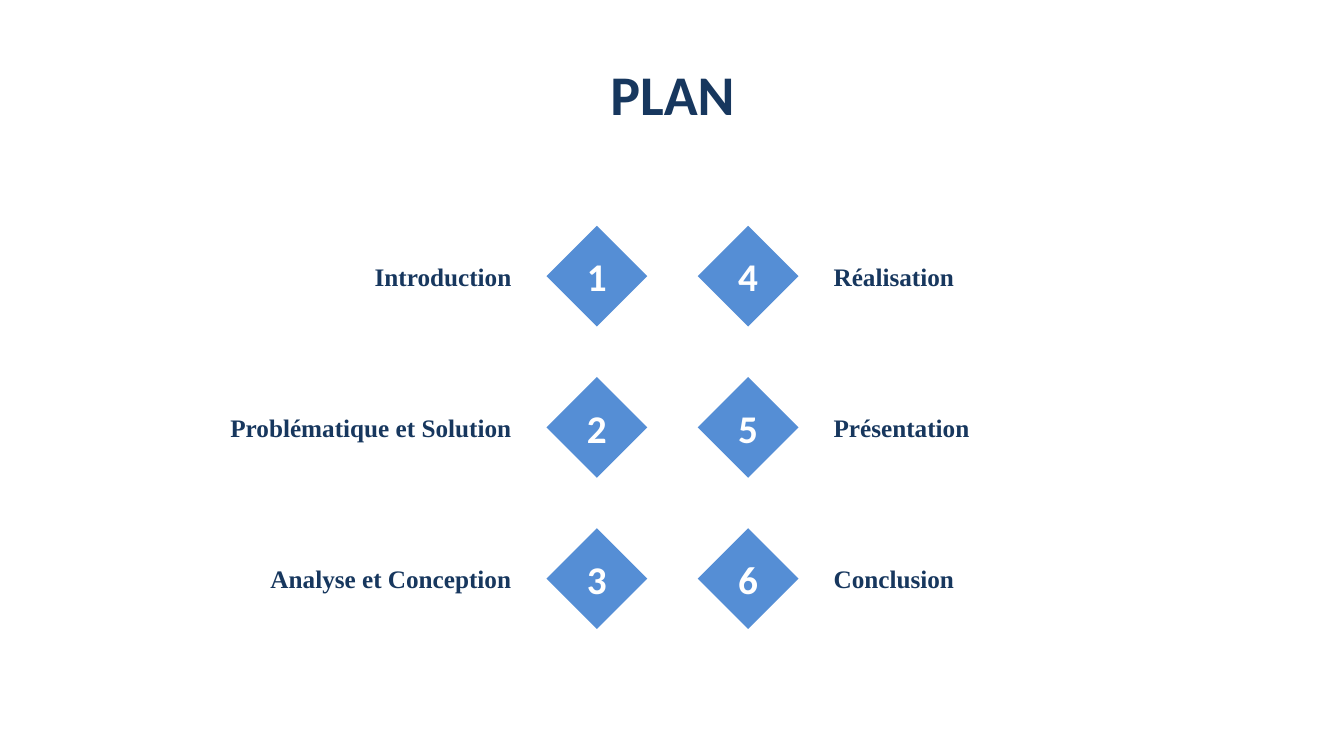
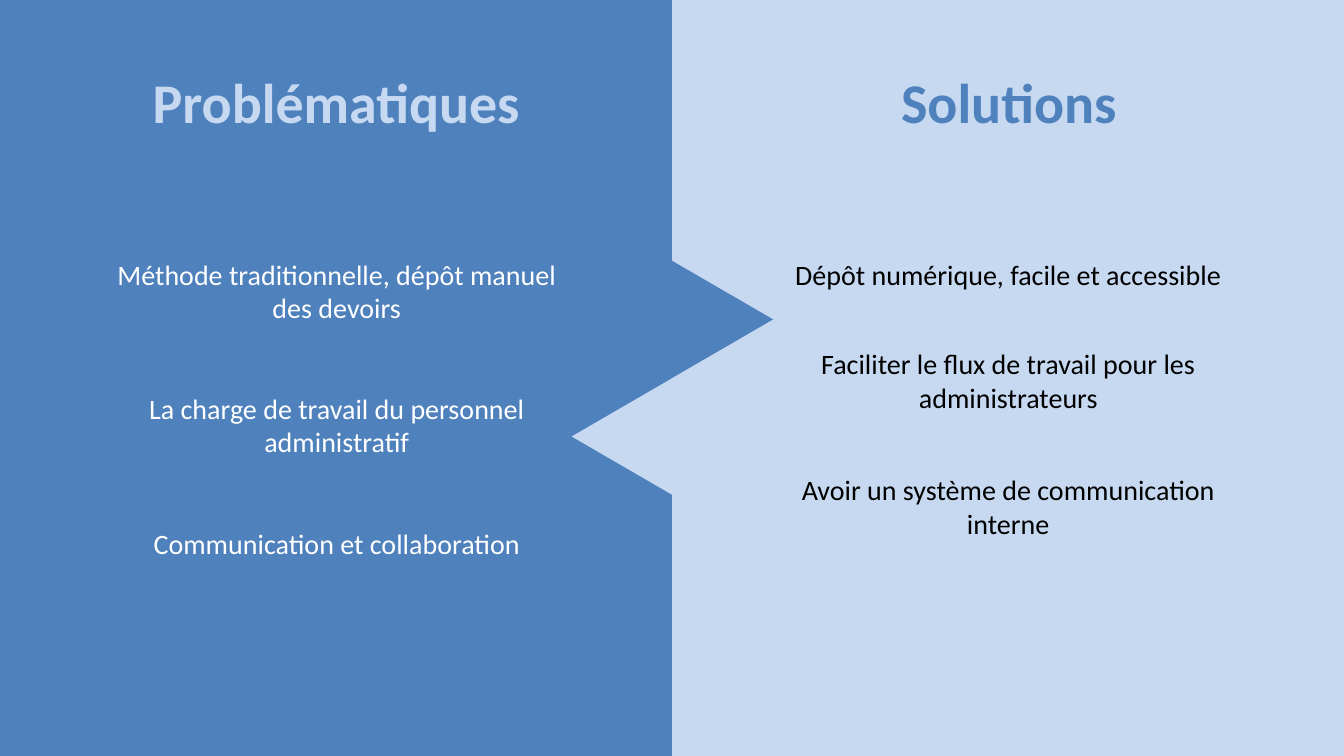
"""Build a plan slide and a problems-and-solutions slide."""
import dataclasses

import pptx
import pptx.dml.color
import pptx.enum.shapes
import pptx.enum.text
import pptx.util

Inches = pptx.util.Inches
RGB = pptx.dml.color.RGBColor.from_string
SHAPE = pptx.enum.shapes.MSO_SHAPE
ALIGN = pptx.enum.text.PP_ALIGN
ANCHOR = pptx.enum.text.MSO_ANCHOR


@dataclasses.dataclass(frozen=True)
class Theme:
    navy: str = "17375E"
    diamond: str = "558ED5"
    blue: str = "4F81BD"
    pale: str = "C6D9F1"
    white: str = "FFFFFF"
    black: str = "000000"
    sans: str = "Calibri"
    serif: str = "Times New Roman"
    title: int = 40
    number: int = 28
    point: int = 20
    topic: int = 18


theme = Theme()


def write(shape, text, size, color, font=theme.sans, bold=True, align=ALIGN.CENTER):
    frame = shape.text_frame
    frame.word_wrap = True
    frame.vertical_anchor = ANCHOR.MIDDLE
    paragraph = frame.paragraphs[0]
    paragraph.alignment = align
    run = paragraph.add_run()
    run.text = text
    run.font.name = font
    run.font.size = pptx.util.Pt(size)
    run.font.bold = bold
    run.font.color.rgb = RGB(color)


def add_block(slide, preset, left, top, width, height, color, rotation=0):
    block = slide.shapes.add_shape(
        preset, Inches(left), Inches(top), Inches(width), Inches(height))
    block.shadow.inherit = False
    block.fill.solid()
    block.fill.fore_color.rgb = RGB(color)
    block.line.fill.background()
    block.rotation = rotation
    return block


deck = pptx.Presentation()
deck.slide_width = Inches(13.33)
deck.slide_height = Inches(7.5)
blank = deck.slide_layouts[6]

plan = deck.slides.add_slide(blank)
heading = plan.shapes.add_textbox(Inches(2.17), Inches(0.3), Inches(9), Inches(1.25))
write(heading, "PLAN", theme.title, theme.navy)

topic_columns = [
    (5.42, 2.17, ALIGN.RIGHT,
     ["Introduction", "Problématique et Solution", "Analyse et Conception"]),
    (6.92, 8.17, ALIGN.LEFT, ["Réalisation", "Présentation", "Conclusion"]),
]
number = 0
for diamond_left, topic_left, align, topics in topic_columns:
    for row, topic in enumerate(topics):
        number += 1
        top = 2.24 + 1.5 * row
        diamond = add_block(plan, SHAPE.DIAMOND, diamond_left, top, 1, 1, theme.diamond)
        write(diamond, str(number), theme.number, theme.white)
        label = plan.shapes.add_textbox(
            Inches(topic_left), Inches(top + 0.3), Inches(3), Inches(0.4))
        write(label, topic, theme.topic, theme.navy, theme.serif, align=align)

comparison = deck.slides.add_slide(blank)
half = 6.67
sides = [
    ("Problématiques", 0, 0.84, theme.blue, theme.pale, theme.white, 2.17, 90, [
        (2.5, 0.77, "Méthode traditionnelle, dépôt manuel des devoirs"),
        (3.83, 0.77, "La charge de travail du personnel administratif"),
        (5.17, 0.44, "Communication et collaboration"),
    ]),
    ("Solutions", half, 7.5, theme.pale, theme.blue, theme.black, 3.33, 270, [
        (2.5, 0.44, "Dépôt numérique, facile et accessible"),
        (3.39, 0.77, "Faciliter le flux de travail pour les administrateurs"),
        (4.64, 0.77, "Avoir un système de communication interne"),
    ]),
]
for _, panel_left, _, panel_color, *_ in sides:
    add_block(comparison, SHAPE.RECTANGLE, panel_left, 0, half, 7.5, panel_color)

for (title, panel_left, point_left, panel_color, title_color, point_color,
     arrow_top, rotation, points) in sides:
    add_block(comparison, SHAPE.ISOSCELES_TRIANGLE, 5.51, arrow_top, 2.32, 2,
              panel_color, rotation)
    heading = comparison.shapes.add_textbox(
        Inches(panel_left), Inches(0), Inches(half), Inches(2))
    write(heading, title, theme.title, title_color)
    for top, height, point in points:
        entry = comparison.shapes.add_textbox(
            Inches(point_left), Inches(top), Inches(5), Inches(height))
        write(entry, point, theme.point, point_color, bold=False)

deck.save("out.pptx")
